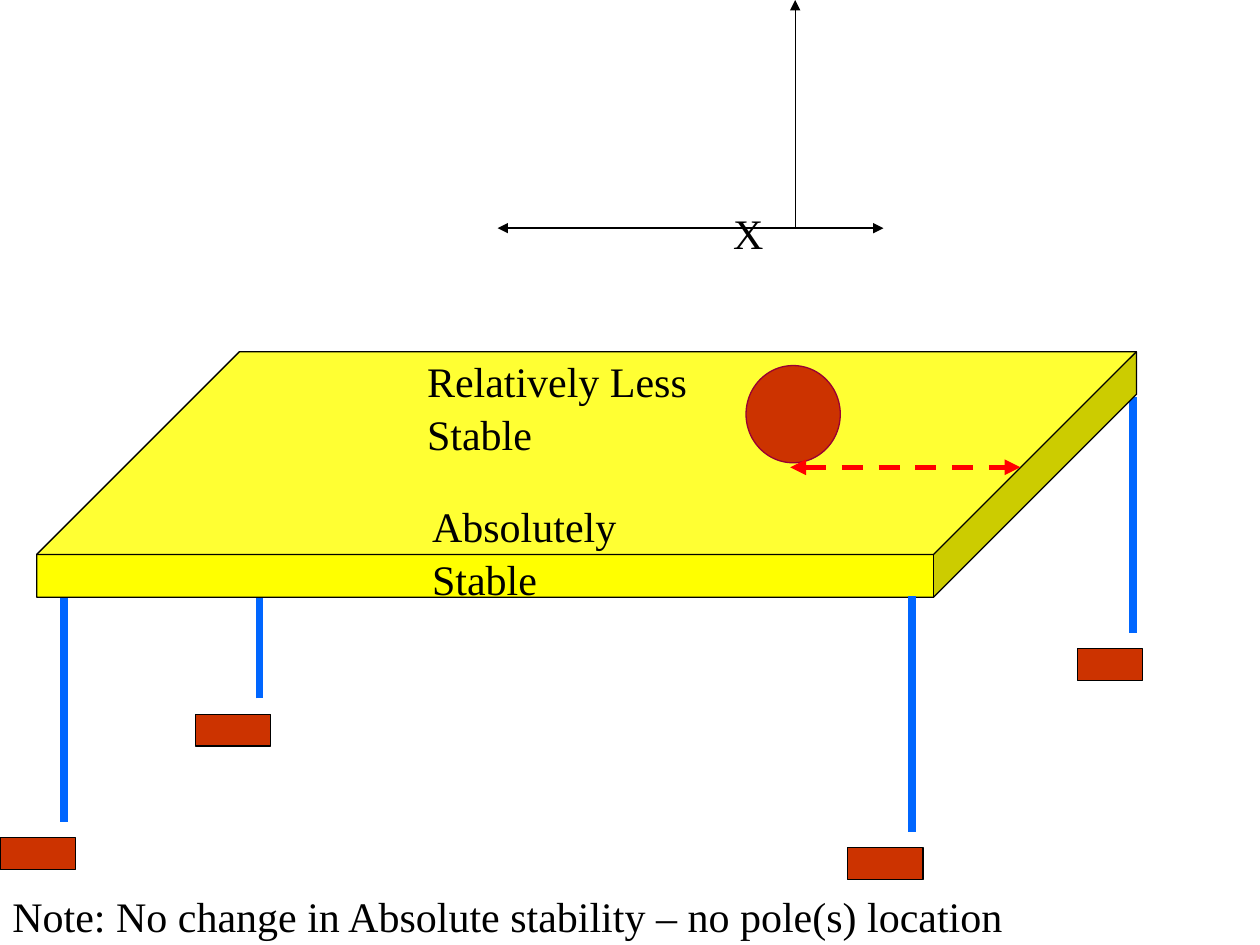
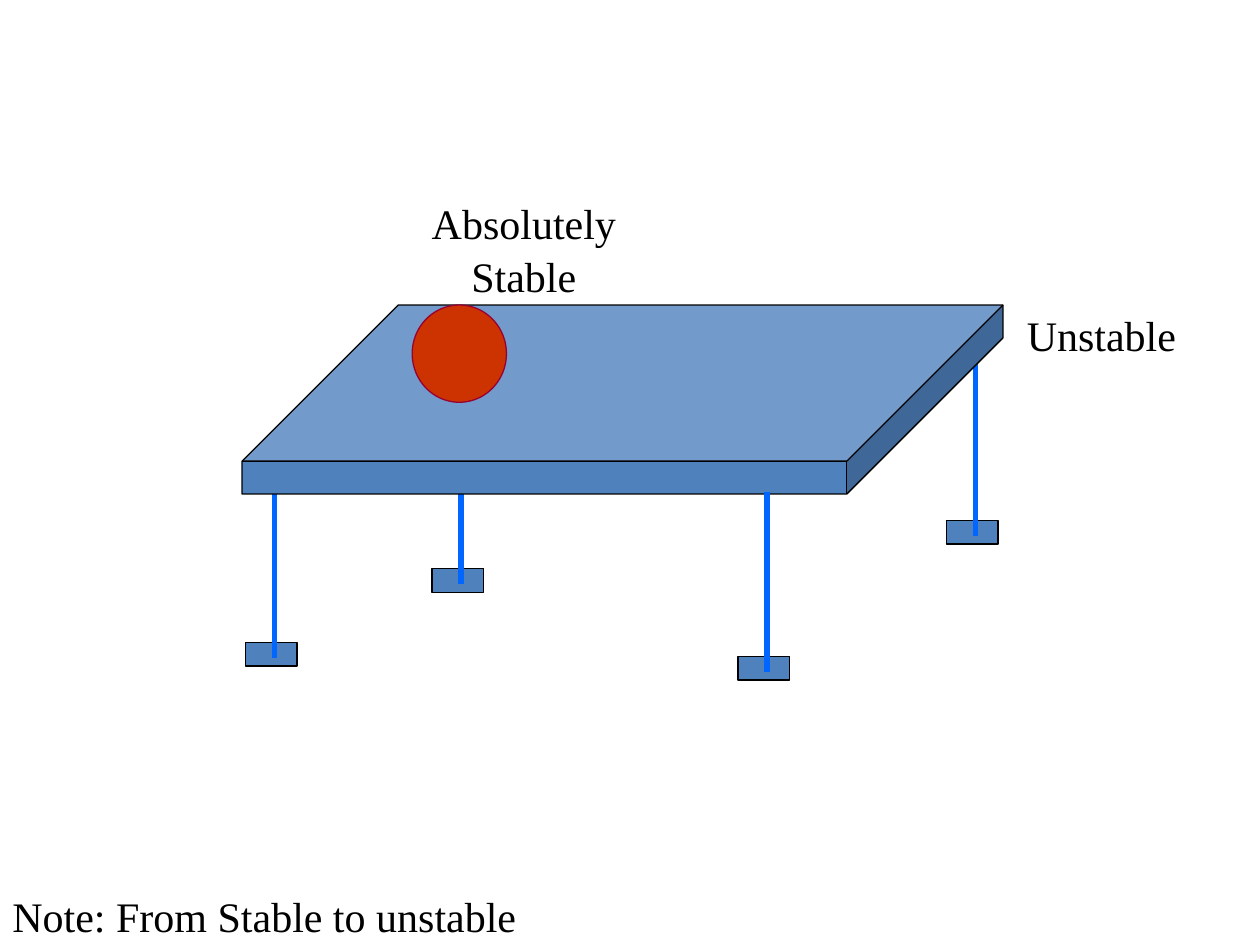
import dataclasses
import typing

import lxml.etree
import pptx
import pptx.dml.color
import pptx.enum.dml
import pptx.enum.shapes
import pptx.enum.text
import pptx.oxml.ns
import pptx.util

Cm = pptx.util.Cm
Pt = pptx.util.Pt
RGBColor = pptx.dml.color.RGBColor
Shapes = pptx.enum.shapes.MSO_SHAPE
Align = pptx.enum.text.PP_ALIGN
qn = pptx.oxml.ns.qn

BLACK = RGBColor(0x00, 0x00, 0x00)
RED = RGBColor(0xFF, 0x00, 0x00)
YELLOW = RGBColor(0xFF, 0xFF, 0x00)
BRICK = RGBColor(0xCC, 0x33, 0x00)
MAROON = RGBColor(0x99, 0x00, 0x33)
STEEL = RGBColor(0x4F, 0x81, 0xBD)
LEG_BLUE = RGBColor(0x00, 0x66, 0xFF)

FONT = "Times New Roman"
THIN = 0.75
SLAB_DEPTH = 0.826


class Box(typing.NamedTuple):
    """Left, top, width and height in centimetres."""
    left: float
    top: float
    width: float
    height: float

    def lengths(self) -> list[pptx.util.Length]:
        return [Cm(value) for value in self]


@dataclasses.dataclass
class Table:
    """A slab on four legs; the last foot stands in front of the slab."""
    slab: Box
    slab_color: RGBColor
    feet: list[Box]
    foot_color: RGBColor
    leg_position: float  # share of the foot width
    leg_drop: float      # leg end below the top of the foot
    leg_length: float
    leg_width: float


def add_solid(slide, kind: Shapes, box: Box, fill: RGBColor, outline: RGBColor = BLACK):
    solid = slide.shapes.add_shape(kind, *box.lengths())
    solid.shadow.inherit = False
    solid.fill.solid()
    solid.fill.fore_color.rgb = fill
    solid.line.color.rgb = outline
    solid.line.width = Pt(THIN)
    return solid


def add_line(slide, start: tuple[float, float], end: tuple[float, float],
             color: RGBColor = BLACK, width: float = THIN,
             arrows: tuple[str, ...] = (), dashed: bool = False) -> None:
    line = slide.shapes.add_connector(
        pptx.enum.shapes.MSO_CONNECTOR.STRAIGHT, *[Cm(v) for v in (*start, *end)])
    line.line.color.rgb = color
    line.line.width = Pt(width)
    if dashed:
        line.line.dash_style = pptx.enum.dml.MSO_LINE.DASH
    properties = line.element.spPr
    for arrow in arrows:
        lxml.etree.SubElement(properties.find(qn("a:ln")), qn(f"a:{arrow}"), type="triangle")
    lxml.etree.SubElement(properties, qn("a:effectLst"))


def add_text(slide, text: str, box: Box, *, size: float = 24, color: RGBColor = BLACK,
             align: Align = Align.LEFT) -> None:
    frame = slide.shapes.add_textbox(*box.lengths()).text_frame
    frame.word_wrap = True
    paragraph = frame.paragraphs[0]
    paragraph.alignment = align
    paragraph.space_before = Pt(15)
    paragraph.line_spacing = 1.05
    run = paragraph.add_run()
    run.text = text
    run.font.name = FONT
    run.font.size = Pt(size)
    run.font.color.rgb = color


def add_leg(slide, table: Table, foot: Box) -> None:
    add_solid(slide, Shapes.RECTANGLE, foot, table.foot_color)
    x = foot.left + table.leg_position * foot.width
    bottom = foot.top + table.leg_drop
    add_line(slide, (x, bottom), (x, bottom - table.leg_length), LEG_BLUE, table.leg_width)


def add_table_scene(slide, table: Table) -> None:
    *rear_feet, front_foot = table.feet
    for foot in rear_feet:
        add_leg(slide, table, foot)
    slab = add_solid(slide, Shapes.CUBE, table.slab, table.slab_color)
    slab.adjustments[0] = SLAB_DEPTH
    add_leg(slide, table, front_foot)


def add_ball(slide, left: float, top: float) -> None:
    add_solid(slide, Shapes.OVAL, Box(left, top, 1.9, 1.96), BRICK, MAROON)


def add_note(slide, text: str, width: float) -> None:
    add_text(slide, text, Box(0, 17.78, width, 1.27))


WIDE_TABLE = Table(
    slab=Box(0.74, 7.09, 22.17, 4.95), slab_color=YELLOW,
    feet=[Box(0, 16.89, 1.52, 0.64), Box(3.94, 14.4, 1.52, 0.64),
          Box(21.72, 13.08, 1.32, 0.64), Box(17.09, 17.09, 1.52, 0.64)],
    foot_color=BRICK, leg_position=0.85, leg_drop=-0.32, leg_length=4.75, leg_width=4.5)

SMALL_TABLE = Table(
    slab=Box(4.88, 6.15, 15.34, 3.81), slab_color=STEEL,
    feet=[Box(left, top, 1.04, 0.48) for left, top in
          [(19.08, 10.49), (8.71, 11.46), (4.95, 12.95), (14.88, 13.23)]],
    foot_color=STEEL, leg_position=0.56, leg_drop=0.31, leg_length=3.63, leg_width=3)


def build_relative_stability(slide) -> None:
    add_table_scene(slide, WIDE_TABLE)
    add_ball(slide, 15.04, 7.37)

    # Distance from the ball to the edge
    add_line(slide, (15.93, 9.42), (20.57, 9.42), RED, 3, ("headEnd", "tailEnd"), dashed=True)
    add_text(slide, "Relatively Less Stable", Box(8.36, 6.99, 7.37, 2.29))
    add_text(slide, "Absolutely Stable", Box(8.46, 9.91, 6.25, 2.29))

    # Pole on the complex plane
    add_line(slide, (10.03, 4.6), (17.81, 4.6), arrows=("headEnd", "tailEnd"))
    add_line(slide, (16.03, 0), (16.03, 4.6), arrows=("headEnd",))
    add_text(slide, "X", Box(14.53, 4.01, 0.89, 1.27))

    add_note(slide, "Note: No change in Absolute stability – no pole(s) location", 22.48)


def build_unstable(slide) -> None:
    add_table_scene(slide, SMALL_TABLE)
    add_ball(slide, 8.31, 6.15)
    add_note(slide, "Note: From Stable to unstable", 11.28)
    add_text(slide, "Absolutely Stable", Box(7.65, 3.81, 5.82, 2.29), align=Align.CENTER)
    add_text(slide, "Unstable", Box(20.45, 6.07, 3.91, 1.27))


def main() -> None:
    presentation = pptx.Presentation()
    presentation.slide_width = Cm(25.4)
    presentation.slide_height = Cm(19.05)
    blank = presentation.slide_layouts[6]
    for build in (build_relative_stability, build_unstable):
        build(presentation.slides.add_slide(blank))
    presentation.save("out.pptx")


if __name__ == "__main__":
    main()
